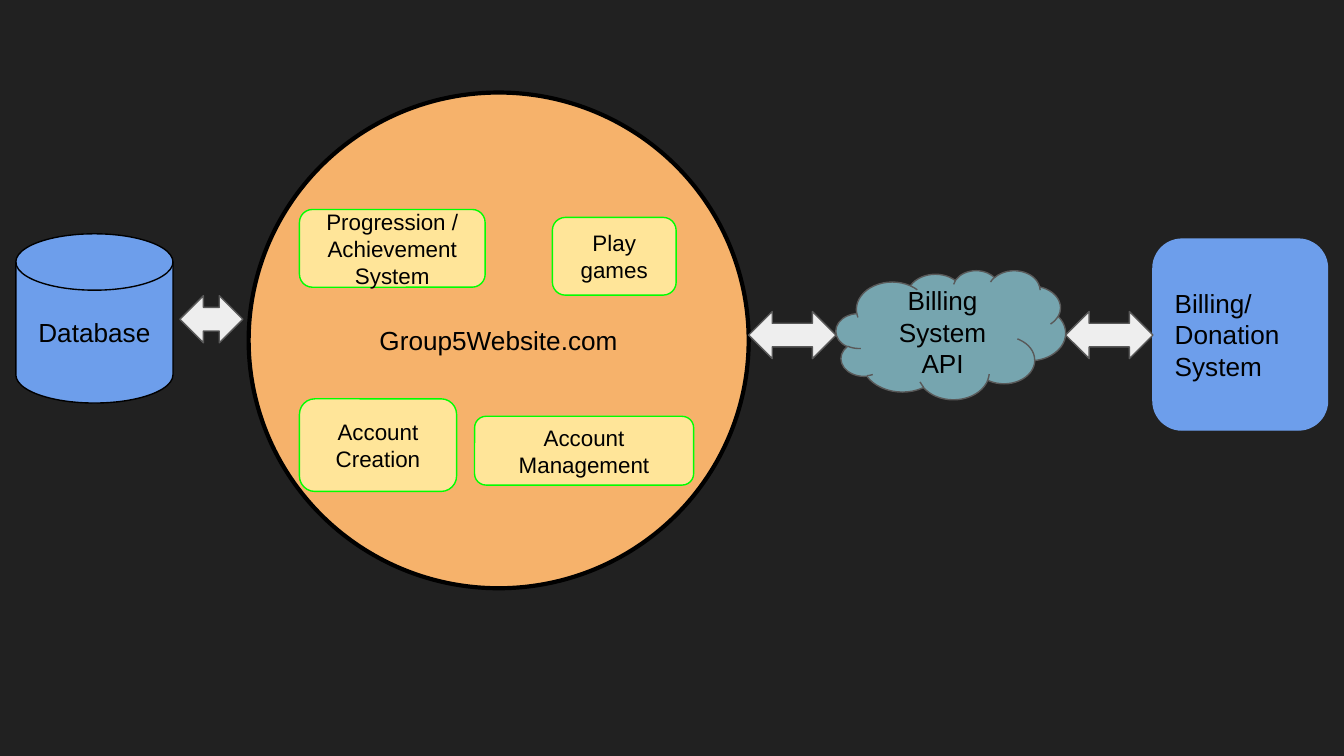
from pptx import Presentation
from pptx.dml.color import RGBColor
from pptx.enum.shapes import MSO_SHAPE
from pptx.enum.text import MSO_ANCHOR, PP_ALIGN
from pptx.util import Cm, Pt

CIRCLE = MSO_SHAPE.OVAL
DISK = MSO_SHAPE.FLOWCHART_MAGNETIC_DISK
DOUBLE_ARROW = MSO_SHAPE.LEFT_RIGHT_ARROW
CLOUD = MSO_SHAPE.CLOUD
ROUNDED = MSO_SHAPE.ROUNDED_RECTANGLE
MIDDLE = MSO_ANCHOR.MIDDLE
LEFT, CENTER = PP_ALIGN.LEFT, PP_ALIGN.CENTER
BLANK_LAYOUT = 6

COLORS = {
    "background": "212121",
    "black": "000000",
    "orange": "F6B26B",
    "blue": "6D9EEB",
    "teal": "76A5AF",
    "yellow": "FFE599",
    "green": "00FF00",
    "light": "EEEEEE",
    "gray": "595959",
}


class Diagram:
    """Holds the diagram style and the current slide."""

    font = "Arial"
    inset = Cm(0.25)

    def __init__(self, deck):
        self.page = deck.slides.add_slide(deck.slide_layouts[BLANK_LAYOUT])
        fill = self.page.background.fill
        fill.solid()
        fill.fore_color.rgb = self.color("background")

    def color(self, name):
        return RGBColor.from_string(COLORS[name])

    def shape(self, kind, place, fill, line, weight=0.75):
        box = self.page.shapes.add_shape(kind, *map(Cm, place))
        box.shadow.inherit = False
        box.fill.solid()
        box.fill.fore_color.rgb = self.color(fill)
        box.line.color.rgb = self.color(line)
        box.line.width = Pt(weight)
        return box

    def label(self, box, lines, size, align=CENTER):
        frame = box.text_frame
        frame.word_wrap = True
        frame.vertical_anchor = MIDDLE
        frame.margin_left = frame.margin_right = self.inset
        frame.margin_top = frame.margin_bottom = self.inset
        for index, text in enumerate(lines):
            para = frame.add_paragraph() if index else frame.paragraphs[0]
            para.alignment = align
            span = para.add_run()
            span.text = text
            span.font.name = self.font
            span.font.size = Pt(size)
            span.font.color.rgb = self.color("black")

    def system(self, kind, place, lines, fill, line, weight=0.75, align=CENTER):
        box = self.shape(kind, place, fill, line, weight)
        self.label(box, lines, 14, align)

    def feature(self, text, place):
        box = self.shape(ROUNDED, place, "yellow", "green")
        self.label(box, [text], 12)

    def arrow(self, left, top, width):
        self.shape(DOUBLE_ARROW, (left, top, width, 0.89), "light", "gray")


def main():
    deck = Presentation()
    deck.slide_width, deck.slide_height = Cm(25.4), Cm(14.29)
    diagram = Diagram(deck)

    diagram.system(CIRCLE, (4.7, 1.75, 9.45, 9.37), ["Group5Website.com"],
                   "orange", "black", weight=2.25)
    diagram.system(DISK, (0.3, 4.42, 2.97, 3.2), ["Database"], "blue", "black")
    diagram.system(CLOUD, (15.8, 5.11, 4.34, 2.44), ["Billing System API"],
                   "teal", "gray")
    diagram.system(ROUNDED, (21.79, 4.52, 3.3, 3.61),
                   ["Billing/", "Donation", "System"], "blue", "blue", align=LEFT)

    features = {
        "Account Creation": (5.66, 7.54, 2.97, 1.75),
        "Play games": (10.44, 4.11, 2.34, 1.47),
        "Account Management": (8.97, 7.87, 4.14, 1.3),
        "Progression / Achievement System": (5.66, 3.96, 3.51, 1.47),
    }
    for text, place in features.items():
        diagram.feature(text, place)

    diagram.arrow(3.4, 5.59, 1.19)
    for left in (14.15, 20.14):
        diagram.arrow(left, 5.89, 1.65)

    deck.save("out.pptx")


if __name__ == "__main__":
    main()
